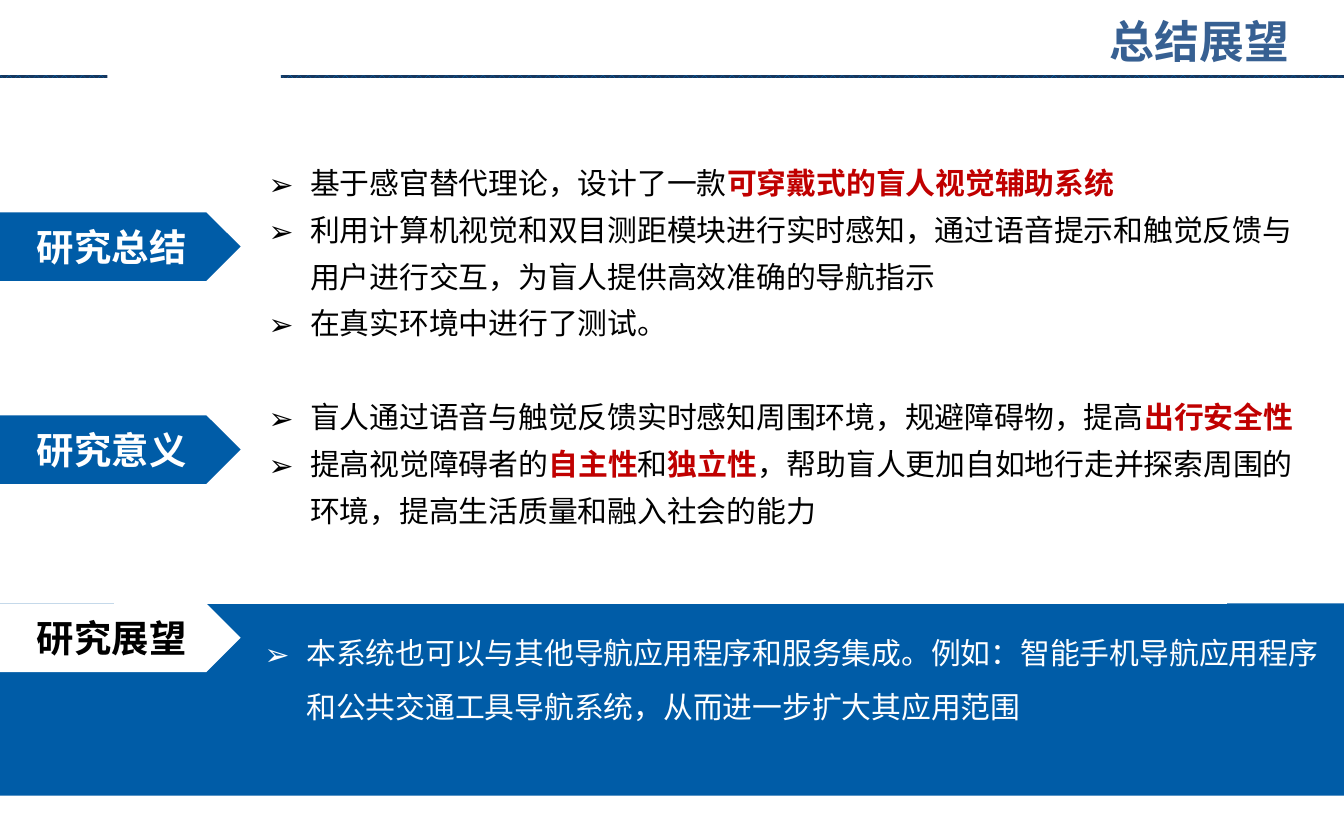
from lxml import etree
from pptx import Presentation
from pptx.dml.color import RGBColor
from pptx.enum.dml import MSO_PATTERN
from pptx.enum.shapes import MSO_CONNECTOR, MSO_SHAPE
from pptx.enum.text import MSO_ANCHOR, PP_ALIGN
from pptx.oxml.ns import qn
from pptx.util import Emu, Pt

PX = 9144  # 100 px to the inch
FONT = "Noto Sans CJK SC"
COLORS = {
    "white": "FFFFFF", "black": "000000", "red": "C00000", "blue": "005CA7",
    "title": "376092", "rule": "17375E", "dots": "0070C0",
}
RECT, ARROW = MSO_SHAPE.RECTANGLE, MSO_SHAPE.PENTAGON
LINE = MSO_CONNECTOR.STRAIGHT
DOTS = MSO_PATTERN.PERCENT_50
LEFT, MID, RIGHT = PP_ALIGN.LEFT, PP_ALIGN.CENTER, PP_ALIGN.RIGHT
TOP, CENTER = MSO_ANCHOR.TOP, MSO_ANCHOR.MIDDLE


def color(name):
    return RGBColor.from_string(COLORS[name])


def px(*sizes):
    return [Emu(size * PX) for size in sizes]


class Deck:
    def __init__(self, width, height):
        self.prs = Presentation()
        self.prs.slide_width, self.prs.slide_height = px(width, height)
        self.slide = self.prs.slides.add_slide(self.prs.slide_layouts[6])

    def box(self, box, fill, kind=RECT):
        shape = self.slide.shapes.add_shape(kind, *px(*box))
        shape.shadow.inherit = False
        shape.fill.solid()
        shape.fill.fore_color.rgb = color(fill)
        shape.line.fill.background()
        return shape

    def rule(self, box):
        """Thin dotted bar under the header."""
        fill = self.box(box, "rule").fill
        fill.patterned()
        fill.pattern = DOTS
        fill.fore_color.rgb = color("dots")
        fill.back_color.rgb = color("rule")

    def line(self, start, end, tint):
        line = self.slide.shapes.add_connector(LINE, *px(*start, *end))
        line.line.color.rgb = color(tint)
        line.line.width = Pt(0.75)
        etree.SubElement(line._element.spPr, qn("a:effectLst"))

    def run(self, para, text, size, tint, bold=False):
        run = para.add_run()
        run.text = text
        run.font.size, run.font.bold = Pt(size), bold
        run.font.color.rgb = color(tint)
        run.font.name = FONT
        east = etree.SubElement(run.font._element, qn("a:ea"))
        east.set("typeface", FONT)

    def label(self, box, fill, text, size, tint, kind=ARROW, align=MID, anchor=CENTER):
        """Filled shape with one bold line of text."""
        frame = self.box(box, fill, kind).text_frame
        frame.word_wrap = kind == RECT
        frame.vertical_anchor = anchor
        para = frame.paragraphs[0]
        para.alignment = align
        self.run(para, text, size, tint, True)

    def bullets(self, box, items, tint="black", space=1.3, inset=None):
        """Bulleted text; every second run of an item is stressed."""
        frame = self.slide.shapes.add_textbox(*px(*box)).text_frame
        frame.word_wrap = True
        if inset:
            side, edge = px(*inset)
            frame.margin_left = frame.margin_right = side
            frame.margin_top = frame.margin_bottom = edge
        for i, item in enumerate(items):
            para = frame.add_paragraph() if i else frame.paragraphs[0]
            para.alignment, para.line_spacing = LEFT, space
            props = para._p.get_or_add_pPr()
            props.set("marL", str(31 * PX))
            props.set("indent", str(-31 * PX))
            etree.SubElement(props, qn("a:buFont")).set("typeface", FONT)
            etree.SubElement(props, qn("a:buChar")).set("char", "➢")
            for j, text in enumerate(item):
                stress = j % 2 == 1
                self.run(para, text, 16, "red" if stress else tint, stress)


SUMMARY = [
    ["基于感官替代理论，设计了一款", "可穿戴式的盲人视觉辅助系统"],
    ["利用计算机视觉和双目测距模块进行实时感知，通过语音提示和触觉反馈与"
     "用户进行交互，为盲人提供高效准确的导航指示"],
    ["在真实环境中进行了测试。"],
]
VALUE = [
    ["盲人通过语音与触觉反馈实时感知周围环境，规避障碍物，提高", "出行安全性"],
    ["提高视觉障碍者的", "自主性", "和", "独立性",
     "，帮助盲人更加自如地行走并探索周围的环境，提高生活质量和融入社会的能力"],
]
OUTLOOK = [
    ["本系统也可以与其他导航应用程序和服务集成。例如：智能手机导航应用程序"
     "和公共交通工具导航系统，从而进一步扩大其应用范围"],
]
TAGS = [
    (158, "blue", "研究总结", "white"),
    (309, "blue", "研究意义", "white"),
    (449, "white", "研究展望", "black"),
]


def main():
    deck = Deck(1000, 625)
    for left, width in ((209, 791), (0, 80)):
        deck.rule((left, 56, width, 2))
    deck.box((0, 449, 1000, 143), "blue")
    deck.bullets((190, 455, 804, 84), OUTLOOK, "white", 1.5, (7, 4))
    deck.line((85, 449), (913, 449), "white")
    for top, fill, text, tint in TAGS:
        deck.label((0, top, 179, 51), fill, text, 20, tint)
    deck.bullets((190, 110, 796, 147), SUMMARY)
    deck.bullets((190, 284, 796, 112), VALUE)
    deck.label((531, 5, 438, 41), "white", "总结展望", 24, "title", RECT, RIGHT, TOP)
    deck.prs.save("out.pptx")


if __name__ == "__main__":
    main()
